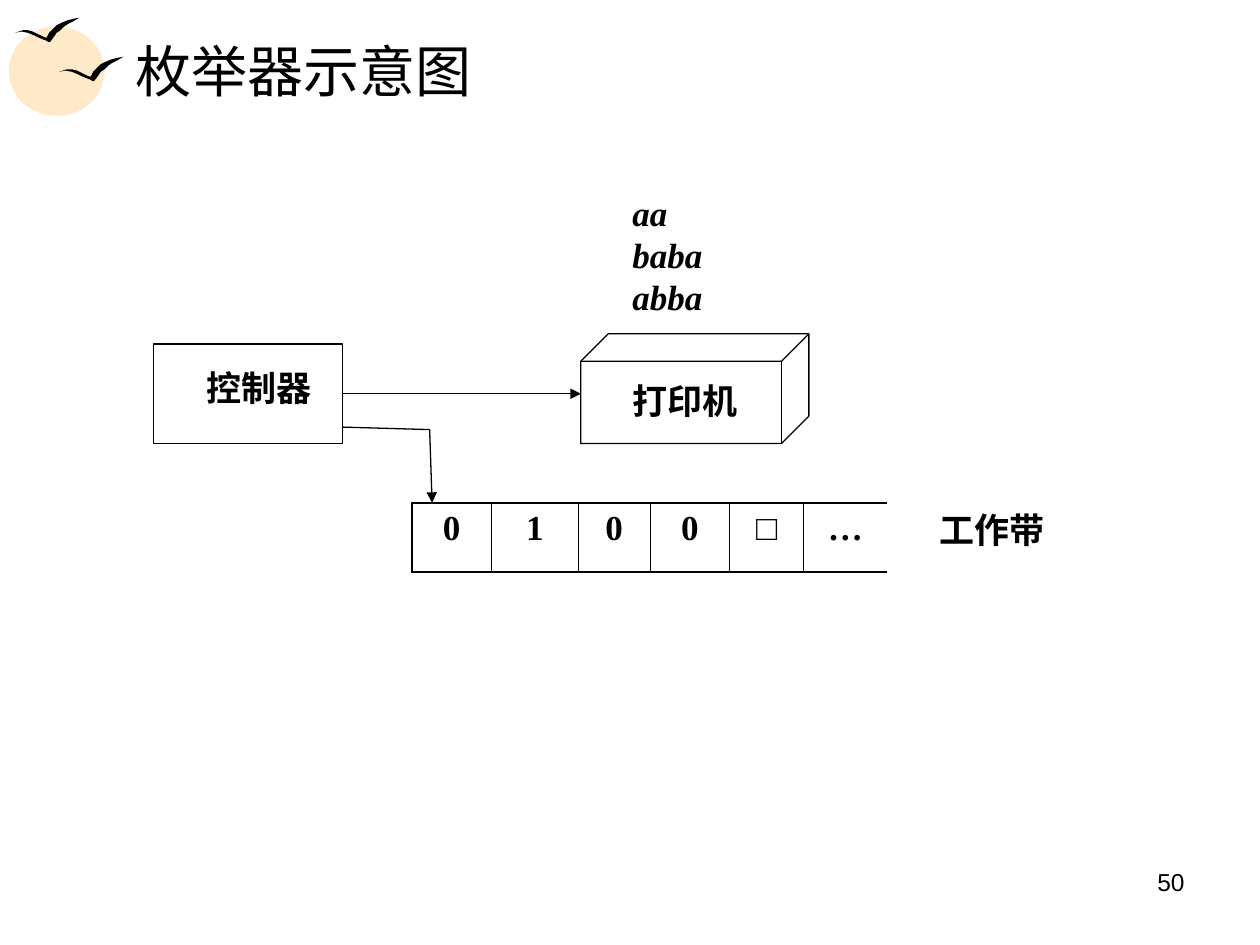
from typing import NamedTuple
from lxml import etree
from pptx import Presentation
from pptx.dml.color import RGBColor
from pptx.enum.shapes import MSO_CONNECTOR, MSO_SHAPE
from pptx.enum.text import MSO_ANCHOR, PP_ALIGN
from pptx.oxml.ns import qn
from pptx.util import Emu, Inches, Pt

RECT, CUBE, OVAL = MSO_SHAPE.RECTANGLE, MSO_SHAPE.CUBE, MSO_SHAPE.OVAL
STRAIGHT = MSO_CONNECTOR.STRAIGHT
LEFT, CENTER, RIGHT = PP_ALIGN.LEFT, PP_ALIGN.CENTER, PP_ALIGN.RIGHT
TOP, MIDDLE = MSO_ANCHOR.TOP, MSO_ANCHOR.MIDDLE
BLACK, CREAM = "000000", "FEE9C8"
SERIF, SANS = "Times New Roman", "Arial"
WIDE, HIGH = Inches(10), Inches(7.5)
COLS = 100
UNIT = WIDE // COLS


class Area(NamedTuple):
    left: float
    top: float
    width: float
    height: float


class Label(NamedTuple):
    area: Area
    text: str
    size: int = 20
    font: str = SERIF
    bold: bool = True
    slant: bool = False
    align: PP_ALIGN = LEFT
    anchor: MSO_ANCHOR = TOP


class Form(NamedTuple):
    area: Area
    kind: MSO_SHAPE
    fill: str = ""
    line: str = ""


SUN = [
    Form(Area(0.7, 2.1, 7.6, 7.1), OVAL, CREAM),
    Form(Area(2, 2.8, 6.3, 5.5), OVAL, CREAM),
]
BIRD = [
    (0, 1.2), (0.3, 1.1), (0.6, 1), (1, 1), (1.4, 1.1), (1.8, 1.3), (2.2, 1.5),
    (2.5, 1.6), (2.7, 1.2), (3, 0.9), (3.3, 0.6), (3.7, 0.4), (4.2, 0.2),
    (4.6, 0.1), (5.1, 0), (4.6, 0.3), (4.2, 0.5), (3.9, 0.7), (3.6, 1),
    (3.3, 1.2), (3.1, 1.5), (2.8, 1.9), (2.7, 1.95), (2.4, 1.8), (1.9, 1.6),
    (1.5, 1.4), (1, 1.2), (0.5, 1.1),
]
FLOCK = [(4.7, 4.5), (1.2, 1.4)]
CONTROL = Form(Area(12.2, 27.3, 15, 7.9), RECT, line=BLACK)
PRINTER = Form(Area(46.1, 26.5, 18.1, 8.7), CUBE, line=BLACK)
BEND = [(27.2, 33.9), (34.1, 34.1), (34.3, 39.9)]
TAPE = Area(32.7, 39.9, 37.8, 5.5)
SPANS = [6.3, 6.9, 5.7, 6.3, 5.9, 6.6]
SIGNS = ["0", "1", "0", "0", "□", "…"]
LABELS = [
    Label(Area(9.8, 2.1, 85.3, 6.9), "枚举器示意图", 32, bold=False, anchor=MIDDLE),
    Label(Area(15.4, 28.6, 10.8, 4.4), "控制器"),
    Label(Area(49.2, 29.6, 13.4, 4.4), "打印机"),
    Label(Area(49.2, 14.7, 11.8, 11), "aa\nbaba\nabba", slant=True),
    Label(Area(73.6, 39.9, 14.2, 4.4), "工作带"),
    Label(Area(71.7, 68.3, 23.3, 5.2), "50", 14, SANS, False, align=RIGHT),
]


def grid(*steps: float) -> list[Emu]:
    return [Emu(round(step * UNIT)) for step in steps]


def paint(target, tone: str) -> None:
    if tone:
        target.solid()
        target.fore_color.rgb = RGBColor.from_string(tone)
    else:
        target.background()


def dress(shape, fill: str, line: str) -> None:
    shape.shadow.inherit = False
    paint(shape.fill, fill)
    paint(shape.line.fill, line)
    if line:
        shape.line.width = Pt(0.75)


def style(frame, label: Label) -> None:
    frame.text = label.text
    for para in frame.paragraphs:
        para.alignment = label.align
        for run in para.runs:
            font = run.font
            font.name, font.size = label.font, Pt(label.size)
            font.bold, font.italic = label.bold, label.slant
            paint(font.fill, BLACK)


def write(slide, label: Label) -> None:
    frame = slide.shapes.add_textbox(*grid(*label.area)).text_frame
    frame.word_wrap = True
    frame.vertical_anchor = label.anchor
    style(frame, label)


def place(slide, form: Form):
    shape = slide.shapes.add_shape(form.kind, *grid(*form.area))
    dress(shape, form.fill, form.line)
    return shape


def trace(slide, points: list, fill: str, line: str, close: bool):
    first, *rest = [tuple(grid(*point)) for point in points]
    pen = slide.shapes.build_freeform(*first)
    pen.add_line_segments(rest, close=close)
    shape = pen.convert_to_shape()
    dress(shape, fill, line)
    return shape


def point(shape) -> None:
    line = shape.element.spPr.find(qn("a:ln"))
    etree.SubElement(line, qn("a:tailEnd"), type="triangle")


def join(slide, start, end: tuple) -> None:
    wire = slide.shapes.add_connector(STRAIGHT, 0, 0, *grid(*end))
    wire.begin_connect(start, 3)
    paint(wire.line.fill, BLACK)
    wire.line.width = Pt(0.75)
    point(wire)
    etree.SubElement(wire.element.spPr, qn("a:effectLst"))


def edge(cell, sides: dict) -> None:
    props = cell._tc.get_or_add_tcPr()
    for spot, (side, width) in enumerate(sides.items()):
        line = etree.Element(qn(f"a:ln{side}"), w=str(Pt(width)))
        if width:
            fill = etree.SubElement(line, qn("a:solidFill"))
            etree.SubElement(fill, qn("a:srgbClr"), val=BLACK)
        else:
            etree.SubElement(line, qn("a:noFill"))
        props.insert(spot, line)


def tape(slide) -> None:
    table = slide.shapes.add_table(1, len(SIGNS), *grid(*TAPE)).table
    table.first_row = table.horz_banding = False
    last = len(SIGNS) - 1
    for col, (span, sign) in enumerate(zip(SPANS, SIGNS)):
        table.columns[col].width = grid(span)[0]
        cell = table.cell(0, col)
        cell.fill.background()
        style(cell.text_frame, Label(TAPE, sign, align=CENTER))
        edge(cell, {
            "L": 0.45 if col else 1.08,
            "R": 0.45 if col < last else 0,
            "T": 1.08,
            "B": 1.08,
        })


def main() -> None:
    deck = Presentation()
    deck.slide_width, deck.slide_height = WIDE, HIGH
    slide = deck.slides.add_slide(deck.slide_layouts[6])
    for form in SUN:
        place(slide, form)
    for left, top in FLOCK:
        trace(slide, [(left + x, top + y) for x, y in BIRD], BLACK, "", True)
    control = place(slide, CONTROL)
    place(slide, PRINTER)
    join(slide, control, (PRINTER.area.left, 31.25))
    tape(slide)
    point(trace(slide, BEND, "", BLACK, False))
    for label in LABELS:
        write(slide, label)
    deck.save("out.pptx")


if __name__ == "__main__":
    main()
